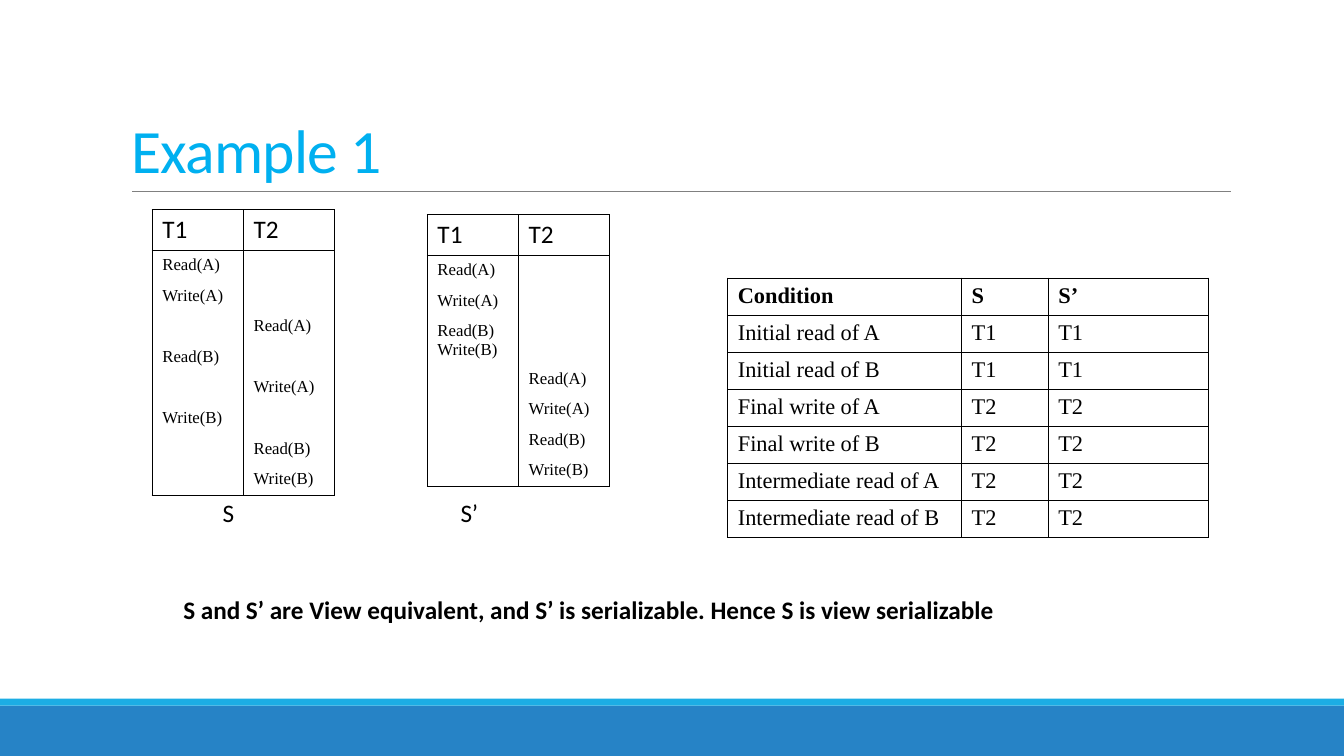
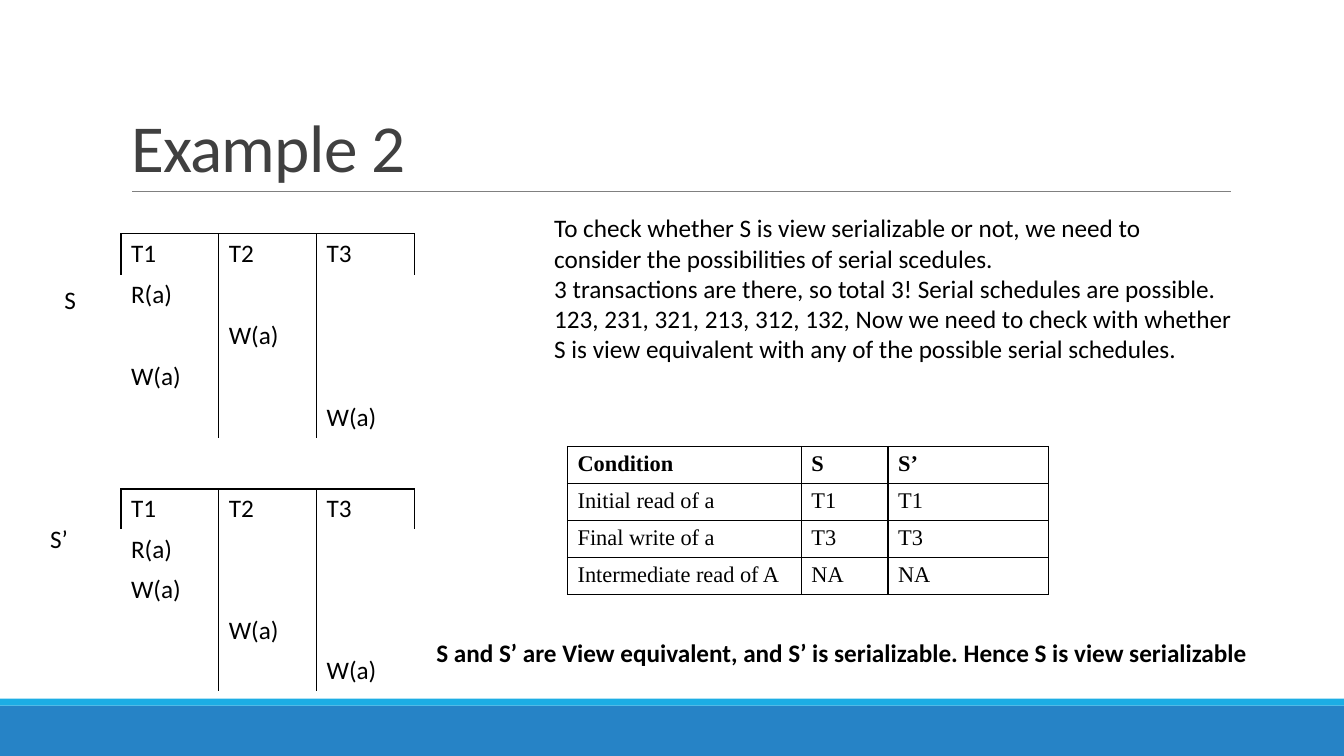
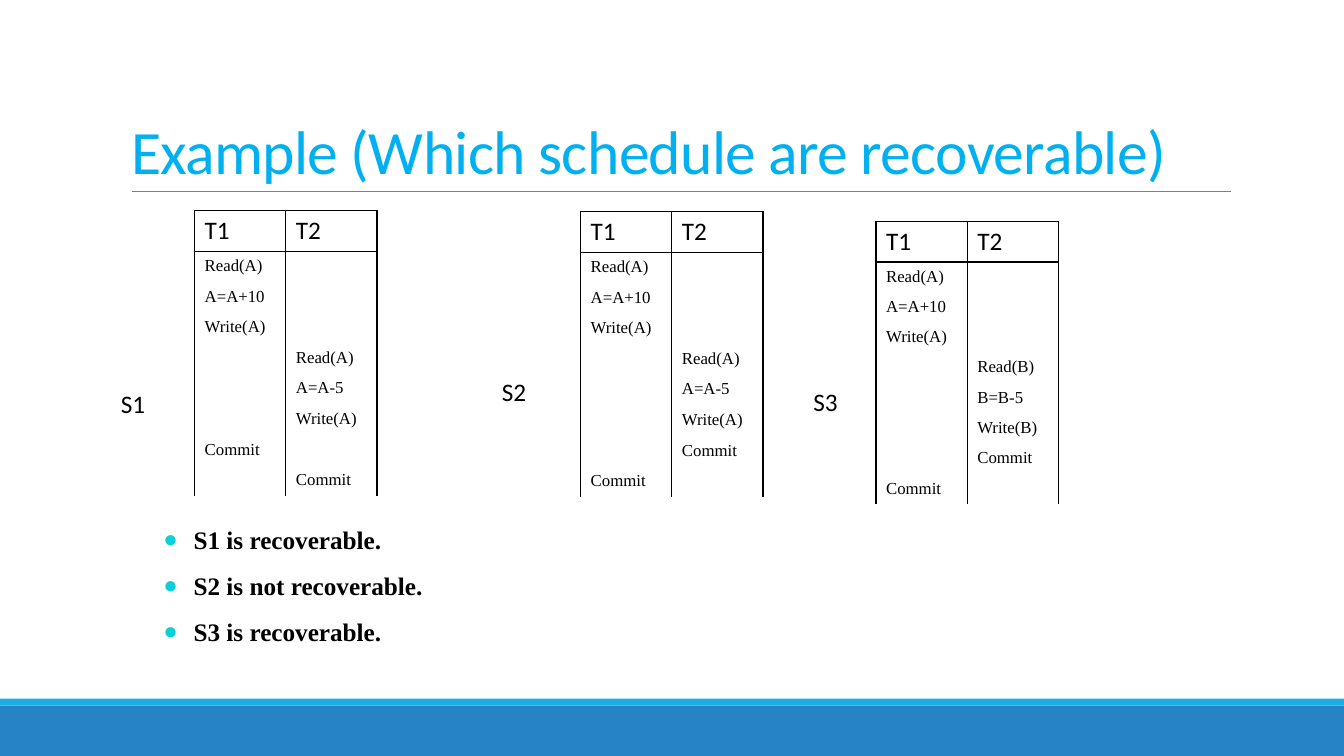
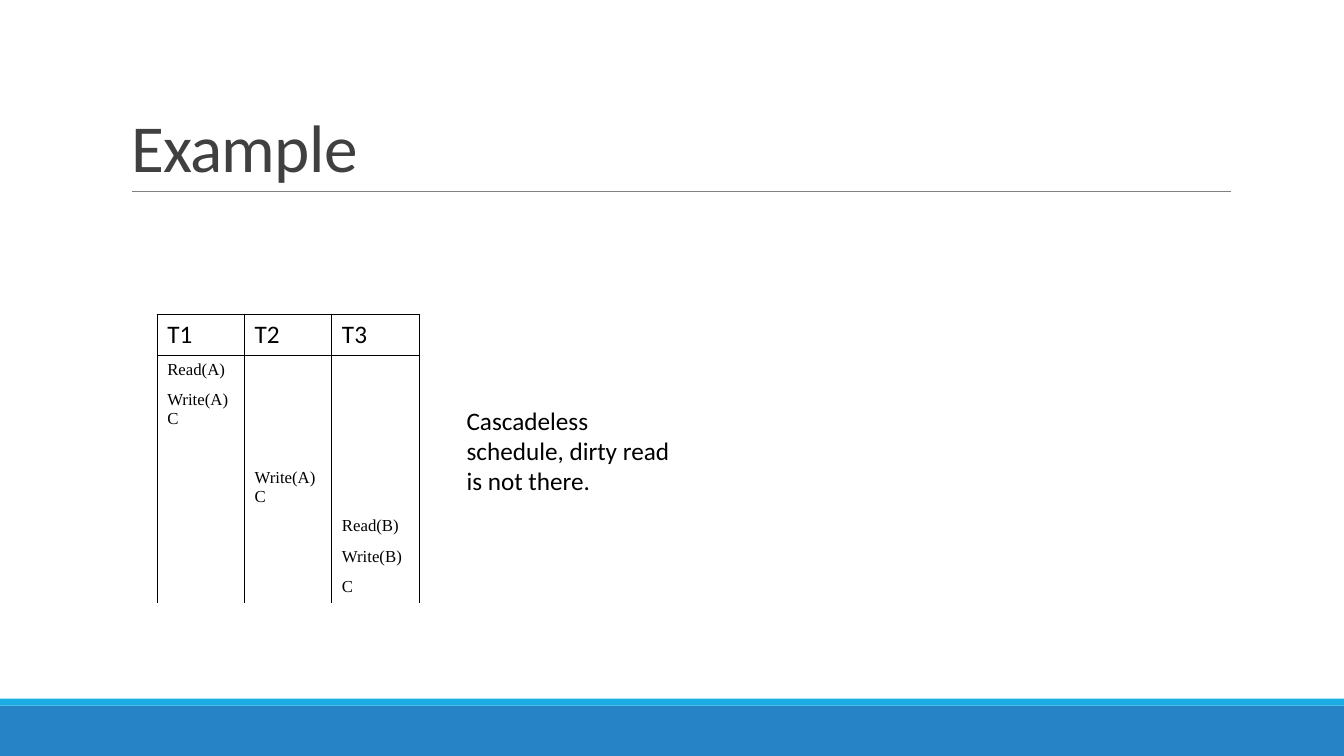
from dataclasses import dataclass
from typing import Any, NamedTuple

import lxml.etree
import pptx
import pptx.dml.color
import pptx.enum.shapes
import pptx.enum.text
import pptx.oxml.ns
import pptx.util

qn = pptx.oxml.ns.qn
Pt = pptx.util.Pt
Align = pptx.enum.text.PP_ALIGN
Anchor = pptx.enum.text.MSO_ANCHOR

WIDTH, HEIGHT = pptx.util.Inches(13.33), pptx.util.Inches(7.5)
SANS, SERIF = "Calibri", "Times New Roman"
BLACK, GREY, RULE_GREY = "000000", "404040", "808080"
SKY, BLUE, CYAN, TEAL = "00B0F0", "2683C6", "1CADE4", "0BD0D9"
TITLE_ONLY, TITLE_AND_BODY = 5, 1


class Area(NamedTuple):
    """A place in percent of the slide's width and height."""
    left: float
    top: float
    width: float
    height: float


class Style(NamedTuple):
    name: str
    size: float
    bold: bool = False
    color: str = BLACK


class Ruling(NamedTuple):
    """Cell sides with a line: L, R, T, B for header, body and last row."""
    header: str
    body: str
    last: str
    outer: bool = True


PLAIN = Style(SANS, 18)
STRONG = Style(SANS, 18, True)
STEP = Style(SERIF, 12)
ENTRY = Style(SERIF, 16)
ENTRY_HEAD = Style(SERIF, 16, True)
BULLET = Style(SERIF, 18, True)

BOXED = Ruling("LRTB", "LRTB", "LRTB")
CLOSED = Ruling("LRTB", "LR", "LRB")
OPEN = Ruling("LRTB", "LR", "LR")
FORKED = Ruling("LRT", "LR", "LR", outer=False)


@dataclass
class Grid:
    left: float
    top: float
    columns: list[float]
    rows: list[list[str]]
    ruling: Ruling
    header: Style = PLAIN
    body: Style = STEP
    header_height: float = 5.33
    row_height: float = 3.6


class Note(NamedTuple):
    area: Area
    text: str
    style: Style = PLAIN


def across(share: float) -> int:
    return round(WIDTH * share / 100)


def down(share: float) -> int:
    return round(HEIGHT * share / 100)


def place(area: Area) -> tuple[int, int, int, int]:
    return across(area.left), down(area.top), across(area.width), down(area.height)


def rgb(color: str) -> pptx.dml.color.RGBColor:
    return pptx.dml.color.RGBColor.from_string(color)


def assign(target: Any, values: dict[str, Any]) -> None:
    for name, value in values.items():
        setattr(target, name, value)


def write(frame: Any, text: str, style: Style, **layout: Any) -> None:
    """Fill a text frame; each line of the text is a paragraph."""
    frame.text = text
    for para in frame.paragraphs:
        assign(para, layout)
        for span in para.runs:
            assign(span.font, {"name": style.name, "size": Pt(style.size), "bold": style.bold})
            span.font.color.rgb = rgb(style.color)


def add_note(page: Any, note: Note) -> None:
    box = page.shapes.add_textbox(*place(note.area))
    box.text_frame.word_wrap = True
    write(box.text_frame, note.text, note.style)


def rule_cell(properties: Any, sides: str) -> None:
    for side in "LRTB":
        if side in sides:
            line = lxml.etree.SubElement(properties, qn(f"a:ln{side}"), w=str(Pt(1)))
            fill = lxml.etree.SubElement(line, qn("a:solidFill"))
            lxml.etree.SubElement(fill, qn("a:srgbClr"), val=BLACK)


def sides_of(grid: Grid, row: int, column: int) -> str:
    if row == 0:
        return grid.ruling.header
    sides = grid.ruling.last if row == len(grid.rows) - 1 else grid.ruling.body
    if not grid.ruling.outer:
        if column == 0:
            sides = sides.replace("L", "")
        if column == len(grid.columns) - 1:
            sides = sides.replace("R", "")
    return sides


def add_grid(page: Any, grid: Grid) -> None:
    heights = [grid.header_height] + [grid.row_height] * (len(grid.rows) - 1)
    area = Area(grid.left, grid.top, sum(grid.columns), sum(heights))
    holder = page.shapes.add_table(len(heights), len(grid.columns), *place(area))
    table = holder.table
    assign(table, {"first_row": False, "horz_banding": False})
    # The style without lines or fills
    holder.element.find(f".//{qn('a:tableStyleId')}").text = "{2D5ABB26-0587-4C30-8999-92F81FD0307C}"
    for column, width in zip(table.columns, grid.columns):
        column.width = across(width)
    for row, height in zip(table.rows, heights):
        row.height = down(height)
    elements = holder.element.iter(qn("a:tc"))
    for index, (cell, element) in enumerate(zip(table.iter_cells(), elements)):
        row, column = divmod(index, len(grid.columns))
        style = grid.body if row else grid.header
        rule_cell(element.get_or_add_tcPr(), sides_of(grid, row, column))
        cell.fill.background()
        text = grid.rows[row][column]
        if text:
            write(cell.text_frame, text, style)
        else:
            para = element.find(f".//{qn('a:p')}")
            lxml.etree.SubElement(para, qn("a:endParaRPr"), sz=str(round(style.size * 100)))


def schedule(left: float, top: float, steps: list[tuple[int, str]], ruling: Ruling = OPEN,
             count: int = 2, column: float = 6.79, **options: Any) -> Grid:
    """Lay out steps, each a transaction number and its action, one per row."""
    names = [f"T{number}" for number in range(1, count + 1)]
    rows = [[action if number == owner else "" for number in range(1, count + 1)]
            for owner, action in steps]
    return Grid(left, top, [column] * count, [names, *rows], ruling, **options)


def forked_schedule(top: float, steps: list[tuple[int, str]]) -> Grid:
    return schedule(9, top, steps, FORKED, 3, 7.28, body=PLAIN, row_height=5.33)


def conditions(left: float, top: float, rows: list[list[str]]) -> Grid:
    return Grid(left, top, [17.4, 6.45, 11.93], [["Condition", "S", "S’"], *rows],
                BOXED, ENTRY_HEAD, ENTRY, 4.89, 4.89)


def conclusion(left: float, top: float) -> Note:
    text = "S and S’ are View equivalent, and S’ is serializable. Hence S is view serializable"
    return Note(Area(left, top, 67.73, 5.33), text, STRONG)


def add_page(deck: Any, title: str, size: float, color: str, contents: list[Grid | Note],
             layout: int = TITLE_ONLY, top: float = 4.13, spacing: float = 0.85) -> Any:
    page = deck.slides.add_slide(deck.slide_layouts[layout])
    heading = page.shapes.title
    area = place(Area(9, top, 82.5, 21.2))
    assign(heading, dict(zip(("left", "top", "width", "height"), area)))
    assign(heading.text_frame, {"vertical_anchor": Anchor.BOTTOM, "word_wrap": True,
                                "auto_size": pptx.enum.text.MSO_AUTO_SIZE.NONE})
    write(heading.text_frame, title, Style(SANS, size, color=color),
          alignment=Align.LEFT, line_spacing=spacing)
    for properties in heading.element.iter(qn("a:rPr")):
        properties.set("spc", "-50")
    for item in contents:
        if isinstance(item, Grid):
            add_grid(page, item)
        else:
            add_note(page, item)
    return page


def add_bullets(page: Any, area: Area, lines: list[str]) -> None:
    body = page.placeholders[1]
    assign(body, dict(zip(("left", "top", "width", "height"), place(area))))
    assign(body.text_frame, {"margin_left": 0, "margin_right": 0,
                             "vertical_anchor": Anchor.TOP,
                             "auto_size": pptx.enum.text.MSO_AUTO_SIZE.NONE})
    body.text_frame.text = "\n".join(lines)
    for para in body.element.iter(qn("a:p")):
        properties = para.get_or_add_pPr()
        properties.set("marL", str(pptx.util.Inches(1.3)))
        properties.set("indent", str(pptx.util.Inches(-0.3)))
        tint = lxml.etree.SubElement(properties, qn("a:buClr"))
        lxml.etree.SubElement(tint, qn("a:srgbClr"), val=TEAL)
        lxml.etree.SubElement(properties, qn("a:buSzPct"), val="95000")
        lxml.etree.SubElement(properties, qn("a:buChar"), char="●")
    for index, para in enumerate(body.text_frame.paragraphs):
        assign(para, {"alignment": Align.JUSTIFY, "line_spacing": 1.1,
                      "space_before": Pt(5 if index else 0), "space_after": Pt(4)})
        assign(para.runs[0].font, {"name": BULLET.name, "size": Pt(BULLET.size), "bold": True})
        para.runs[0].font.color.rgb = rgb(BULLET.color)


def dress_master(deck: Any, page: Any) -> None:
    """Draw the bands and the title rule, then move them to the master."""
    parts = []
    for top, height, color in ((93.33, 6.67, BLUE), (92.4, 0.93, CYAN)):
        band = page.shapes.add_shape(pptx.enum.shapes.MSO_SHAPE.RECTANGLE,
                                     *place(Area(0, top, 100, height)))
        band.shadow.inherit = False
        band.fill.solid()
        band.fill.fore_color.rgb = rgb(color)
        band.line.fill.background()
        parts.append(band)
    rule = page.shapes.add_connector(pptx.enum.shapes.MSO_CONNECTOR.STRAIGHT, across(9.83),
                                     down(25.33), across(91.6), down(25.33))
    rule.line.color.rgb = rgb(RULE_GREY)
    rule.line.width = Pt(0.5)
    lxml.etree.SubElement(rule.element.spPr, qn("a:effectLst"))
    parts.append(rule)
    for number, part in enumerate(parts, start=100):
        next(part.element.iter(qn("p:cNvPr"))).set("id", str(number))
        deck.slide_master.shapes.element.append(part.element)


def main() -> None:
    deck = pptx.Presentation()
    assign(deck, {"slide_width": WIDTH, "slide_height": HEIGHT})

    first = add_page(deck, "Example 1", 44, SKY, [
        schedule(11.33, 27.73, [
            (1, "Read(A)"), (1, "Write(A)"), (2, "Read(A)"), (1, "Read(B)"),
            (2, "Write(A)"), (1, "Write(B)"), (2, "Read(B)"), (2, "Write(B)")], CLOSED),
        schedule(31.8, 28.4, [
            (1, "Read(A)"), (1, "Write(A)"), (1, "Read(B)\nWrite(B)"), (2, "Read(A)"),
            (2, "Write(A)"), (2, "Read(B)"), (2, "Write(B)")], CLOSED),
        Note(Area(33.53, 65.07, 6.83, 5.33), "S’"),
        Note(Area(15.83, 65.07, 6.83, 5.33), "S"),
        conditions(54.15, 36.8, [
            ["Initial read of A", "T1", "T1"],
            ["Initial read of B", "T1", "T1"],
            ["Final write of A", "T2", "T2"],
            ["Final write of B", "T2", "T2"],
            ["Intermediate read of A", "T2", "T2"],
            ["Intermediate read of B", "T2", "T2"]]),
        conclusion(12.9, 78),
    ])
    dress_master(deck, first)

    add_page(deck, "Example 2", 48, GREY, [
        forked_schedule(30.93, [(1, "R(a)"), (2, "W(a)"), (1, "W(a)"), (3, "W(a)")]),
        Note(Area(4.05, 36.93, 9.15, 5.33), "S"),
        Note(Area(40.5, 27.47, 51.9, 29.6),
             "To check whether S is view serializable or not, we need to consider the "
             "possibilities of serial scedules.\n"
             "3 transactions are there, so total 3! Serial schedules are possible.\n"
             "123, 231, 321, 213, 312, 132, Now we need to check with whether S is view "
             "equivalent with any of the possible serial schedules."),
        forked_schedule(64.67, [(1, "R(a)"), (1, "W(a)"), (2, "W(a)"), (3, "W(a)")]),
        Note(Area(3, 68.53, 9.15, 5.33), "S’"),
        conditions(42.23, 59.07, [
            ["Initial read of a", "T1", "T1"],
            ["Final write of a", "T3", "T3"],
            ["Intermediate read of A", "NA", "NA"]]),
        conclusion(31.73, 83.6),
    ])

    opening = [(1, "Read(A)"), (1, "A=A+10"), (1, "Write(A)")]
    same_item = [*opening, (2, "Read(A)"), (2, "A=A-5"), (2, "Write(A)")]
    other_item = [*opening, (2, "Read(B)"), (2, "B=B-5"), (2, "Write(B)")]
    reader_first = [(2, "Commit"), (1, "Commit")]
    writer_first = reader_first[::-1]
    recoverable = add_page(deck, "Example (Which schedule are recoverable)", 44, SKY, [
        schedule(14.48, 27.87, same_item + writer_first),
        schedule(43.2, 28, same_item + reader_first),
        Note(Area(8.25, 50.67, 4.58, 5.33), "S1"),
        Note(Area(36.6, 49.07, 5.4, 5.33), "S2"),
        schedule(65.18, 29.33, other_item + reader_first, row_height=4),
        Note(Area(59.78, 50.4, 5.4, 5.33), "S3"),
    ], TITLE_AND_BODY, top=4.27, spacing=0.9)
    add_bullets(recoverable, Area(4.65, 68.27, 94.58, 24.4),
                ["S1 is recoverable.", "S2 is not recoverable.", "S3 is recoverable."])

    add_page(deck, "Example", 48, GREY, [
        schedule(11.7, 41.6, [
            (1, "Read(A)"), (1, "Write(A)\nC"), (1, ""), (2, "Write(A)\nC"),
            (3, "Read(B)"), (3, "Write(B)"), (3, "C")], count=3, column=6.5),
        Note(Area(33.98, 52.93, 17.55, 13.47), "Cascadeless schedule, dirty read is not there."),
    ])
    deck.save("out.pptx")


if __name__ == "__main__":
    main()
